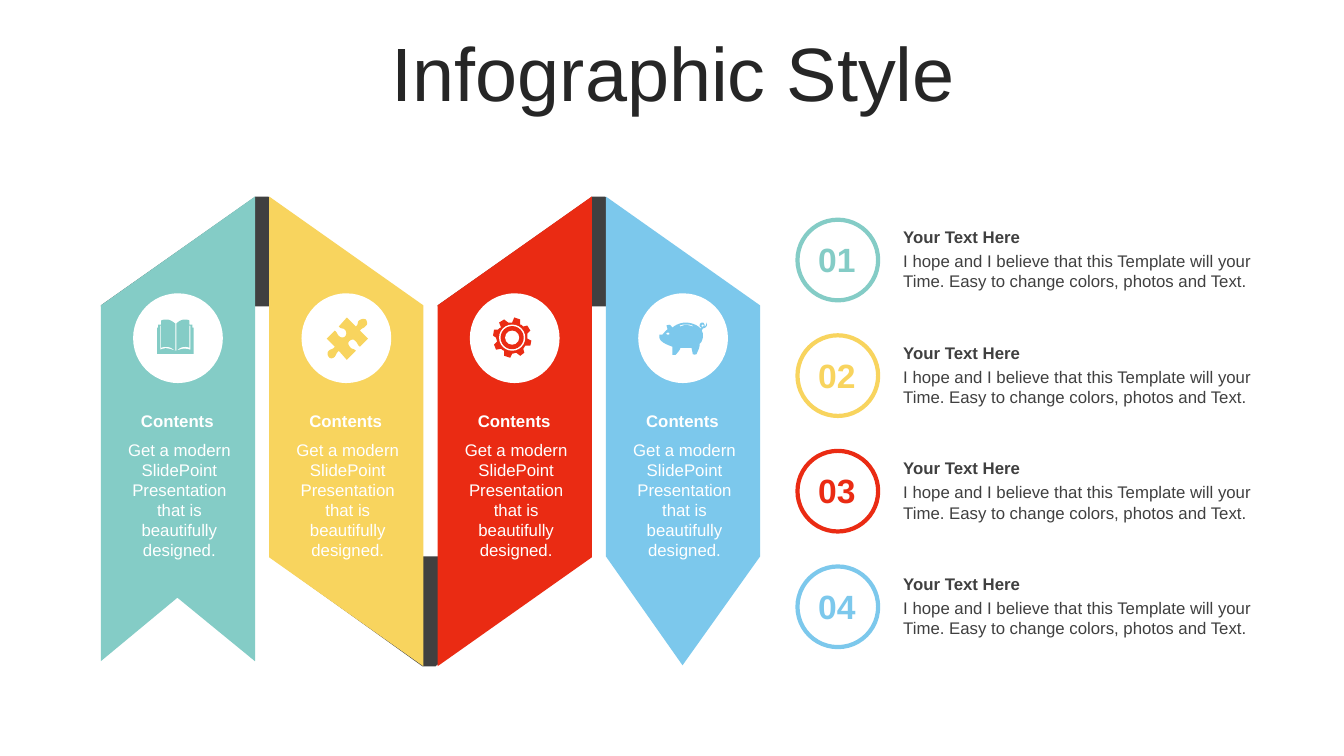
"""Build the Infographic Style slide: four folded ribbons and a numbered list."""
import pptx
import pptx.util
import pptx.dml.color
import pptx.enum.shapes
import pptx.enum.text

Inches, Pt = pptx.util.Inches, pptx.util.Pt
ALIGN = pptx.enum.text.PP_ALIGN
ANCHOR = pptx.enum.text.MSO_ANCHOR

TITLE = "Infographic Style"
HEADING = "Contents"
RIBBON_TEXT = "Get a modern SlidePoint Presentation that is beautifully designed."
ROW_HEADING = "Your Text Here"
ROW_TEXT = ("I hope and I believe that this Template will your Time. "
            "Easy to change colors, photos and Text.")
DARK, WHITE, TITLE_INK = "404040", "FFFFFF", "262626"

RIBBONS = [
    ("84CCC6", [(0, 3.03), (1.53, 1.95), (1.53, 6.56), (0.76, 5.93), (0, 6.56)]),
    ("F8D45E", [(0, 1.95), (1.53, 3.03), (1.53, 6.61), (0, 5.53)]),
    ("EA2B13", [(0, 3.03), (1.53, 1.95), (1.53, 5.53), (0, 6.61)]),
    ("7CC8EC", [(0, 1.95), (1.53, 3.03), (1.53, 5.52), (0.76, 6.6), (0, 5.52)]),
]
FOLD = [(0, 1.09), (0, 1.08), (1.52, 0.01), (1.53, 0), (1.66, 0), (3.18, 1.09)]
FOLD_WIDTH = 3.18
RIBBON_LEFT, RIBBON_PITCH = 1, 1.67
FOLD_TOP, FOLD_BOTTOM = 1.95, 6.61
ROW_FIRST, ROW_LAST = 2.18, 5.62

BOOK = """M 174 348 C 174 348 175 348 175 348 C 180 346 183 345 189 347 L 189 323 L 188 323
C 188 330 188 337 188 345 C 184 343 179 344 175 348 L 175 321 C 177 319 180 317 183 317
C 184 317 186 317 188 318 C 188 319 188 321 188 322 L 191 322 L 191 325 L 192 325 L 192 351
L 156 351 L 156 325 L 157 325 L 157 322 L 160 322 C 160 321 160 319 160 318
C 162 317 164 317 165 317 C 169 317 171 319 174 321 L 174 348 C 169 344 165 343 160 345
L 160 323 L 159 323 L 159 347 C 165 344 168 346 174 348"""
PUZZLE = """M 363 317 C 364 319 365 322 363 323 C 361 326 359 325 357 328 L 365 336 L 357 344
C 354 342 355 340 352 338 C 351 336 348 337 347 338 C 345 339 345 342 347 344
C 349 347 350 345 353 348 L 344 357 L 336 348 C 333 351 334 351 332 354
C 330 356 327 356 326 354 C 325 353 324 350 326 348 C 328 346 330 347 332 344
L 324 336 L 332 328 C 335 330 334 332 337 334 C 338 335 341 335 342 334
C 344 332 344 329 342 327 C 340 325 339 327 336 324 L 344 315 L 353 324
C 356 321 354 320 356 318 C 359 316 361 316 363 317"""
GEAR = """M 516 317 L 516 322 C 517 322 518 323 519 324 L 523 323 L 526 328 L 523 331
C 523 333 523 334 523 336 L 527 338 L 526 343 L 521 343 C 520 344 520 345 519 346
L 520 350 L 516 353 L 512 350 C 511 350 509 351 508 351 L 506 355 L 500 353 L 500 348
C 499 348 498 347 497 346 L 492 347 L 490 342 L 493 339 C 493 338 492 336 492 335
L 489 333 L 490 327 L 494 327 C 495 326 496 325 497 325 L 495 320 L 500 317 L 504 320
C 505 320 506 320 508 320 L 510 315"""
PIG_EYE = """M 663 330 C 662 330 661 330 661 331 C 661 332 662 332 663 332
C 663 332 664 332 664 331 C 664 330 663 330 663 330"""
PIG_TAIL = """M 697 322 C 696 322 696 322 696 323 C 696 324 696 324 697 324
C 697 324 698 324 698 323 C 698 322 697 322 697 322"""
PIG_SLOT = """M 681 322 C 678 322 676 322 674 323 L 675 324
C 678 322 683 322 687 324 L 687 323 C 685 322 683 322 681 322"""
PIG_BODY = """M 680 320 C 685 320 691 322 694 325 L 695 326 C 695 326 695 326 696 325
C 695 325 694 324 694 323 C 694 321 695 320 697 320 C 698 320 699 322 699 323
C 699 324 699 323 699 324 C 699 324 700 324 701 320 C 702 324 700 325 697 326
C 697 327 696 327 696 328 L 697 330 C 698 335 696 340 694 341 C 694 346 692 348 691 351
C 691 352 687 352 687 351 C 687 349 686 347 686 345 C 682 345 678 345 675 345
C 674 348 672 350 670 352 L 667 352 C 667 352 667 347 667 344 C 662 342 652 339 654 332
C 654 332 656 332 657 332 C 659 330 660 328 662 327 C 662 325 661 323 661 323
C 665 321 665 323 667 325 C 670 322 676 320 680 320"""
ICONS = [[BOOK], [PUZZLE], [GEAR], [PIG_EYE, PIG_TAIL, PIG_SLOT, PIG_BODY]]
GEAR_CENTER = (5.08, 3.35)
GEAR_RINGS = [(0.26, WHITE), (0.23, "EA2B13"), (0.14, WHITE)]


def rgb(value):
    return pptx.dml.color.RGBColor.from_string(value)


def flatten(outline, steps=6):
    """Turn path commands in hundredths of an inch into a list of points."""
    points, tokens = [], outline.split()
    while tokens:
        command = tokens.pop(0)
        count = 6 if command == "C" else 2
        values = [int(t) / 100 for t in tokens[:count]]
        del tokens[:count]
        ends = list(zip(values[::2], values[1::2]))
        if command != "C":
            points += ends
            continue
        curve = [points[-1]] + ends
        for i in range(1, steps + 1):
            t = i / steps
            weights = ((1 - t) ** 3, 3 * t * (1 - t) ** 2, 3 * t * t * (1 - t), t ** 3)
            points.append(tuple(sum(w * p[axis] for w, p in zip(weights, curve))
                                for axis in (0, 1)))
    return points


def paint(sp, fill=None, line=None):
    sp.shadow.inherit = False
    if fill:
        sp.fill.solid()
        sp.fill.fore_color.rgb = rgb(fill)
    else:
        sp.fill.background()
    if line:
        sp.line.color.rgb = rgb(line)
        sp.line.width = Pt(3)
    else:
        sp.line.fill.background()


def add_outline(s, outlines, color):
    builder = None
    for outline in outlines:
        points = [(Inches(x), Inches(y)) for x, y in outline]
        if builder is None:
            builder = s.shapes.build_freeform(*points[0])
        else:
            builder.move_to(*points[0])
        builder.add_line_segments(points[1:], close=True)
    paint(builder.convert_to_shape(), color)


def add_circle(s, left, top, size, fill=None, line=None):
    sp = s.shapes.add_shape(pptx.enum.shapes.MSO_SHAPE.OVAL,
                            *map(Inches, (left, top, size, size)))
    paint(sp, fill, line)


def write(tf, text, size, color, bold=False, align=ALIGN.LEFT):
    tf.word_wrap = True
    p = tf.paragraphs[0]
    p.text = text
    p.alignment = align
    p.font.name, p.font.size, p.font.bold = "Arial", Pt(size), bold
    p.font.color.rgb = rgb(color)
    return p


def add_text(s, box, *args, inset=0.1, **kwargs):
    tf = s.shapes.add_textbox(*map(Inches, box)).text_frame
    tf.margin_left = tf.margin_right = Inches(inset)
    tf.margin_top = tf.margin_bottom = Inches(inset / 2)
    write(tf, *args, **kwargs)


def add_title(s):
    sp = s.shapes.title
    sp.left, sp.top, sp.width, sp.height = map(Inches, (0.35, 0.37, 12.66, 0.79))
    tf = sp.text_frame
    tf.auto_size = pptx.enum.text.MSO_AUTO_SIZE.NONE
    tf.vertical_anchor = ANCHOR.MIDDLE
    p = write(tf, TITLE, 54, TITLE_INK, align=ALIGN.CENTER)
    p.line_spacing = 0.9


def add_ribbons(s):
    lefts = [RIBBON_LEFT + i * RIBBON_PITCH for i in range(len(RIBBONS))]
    for i, left in enumerate(lefts[:-1]):
        if i % 2:
            fold = [(left + FOLD_WIDTH - x, FOLD_BOTTOM - y) for x, y in FOLD]
        else:
            fold = [(left + x, FOLD_TOP + y) for x, y in FOLD]
        add_outline(s, [fold], DARK)
    for left, (color, outline), icon in zip(lefts, RIBBONS, ICONS):
        add_outline(s, [[(left + x, y) for x, y in outline]], color)
        add_circle(s, left + 0.32, 2.91, 0.89, WHITE)
        add_outline(s, map(flatten, icon), color)
        add_text(s, (left + 0.1, 4.31, 1.36, 1.31), RIBBON_TEXT, 12, WHITE, align=ALIGN.CENTER)
        add_text(s, (left + 0.08, 4.03, 1.36, 0.3), HEADING, 12, WHITE, True, ALIGN.CENTER)
    x, y = GEAR_CENTER
    for size, color in GEAR_RINGS:
        add_circle(s, x - size / 2, y - size / 2, size, color)


def add_rows(s):
    pitch = (ROW_LAST - ROW_FIRST) / (len(RIBBONS) - 1)
    for i, (color, _) in enumerate(RIBBONS):
        top = ROW_FIRST + i * pitch
        add_circle(s, 7.91, top, 0.8, line=color)
        add_text(s, (7.99, top + 0.19, 0.62, 0.4), f"{i + 1:02}", 24, color, True,
                 ALIGN.CENTER, inset=0)
        add_text(s, (8.86, top + 0.02, 3.78, 0.3), ROW_HEADING, 12, DARK, True)
        add_text(s, (8.86, top + 0.26, 3.78, 0.5), ROW_TEXT, 12, DARK)


def main():
    prs = pptx.Presentation()
    prs.slide_width, prs.slide_height = Inches(13.33), Inches(7.5)
    s = prs.slides.add_slide(prs.slide_layouts[5])
    add_title(s)
    add_ribbons(s)
    add_rows(s)
    prs.save("out.pptx")


if __name__ == "__main__":
    main()
